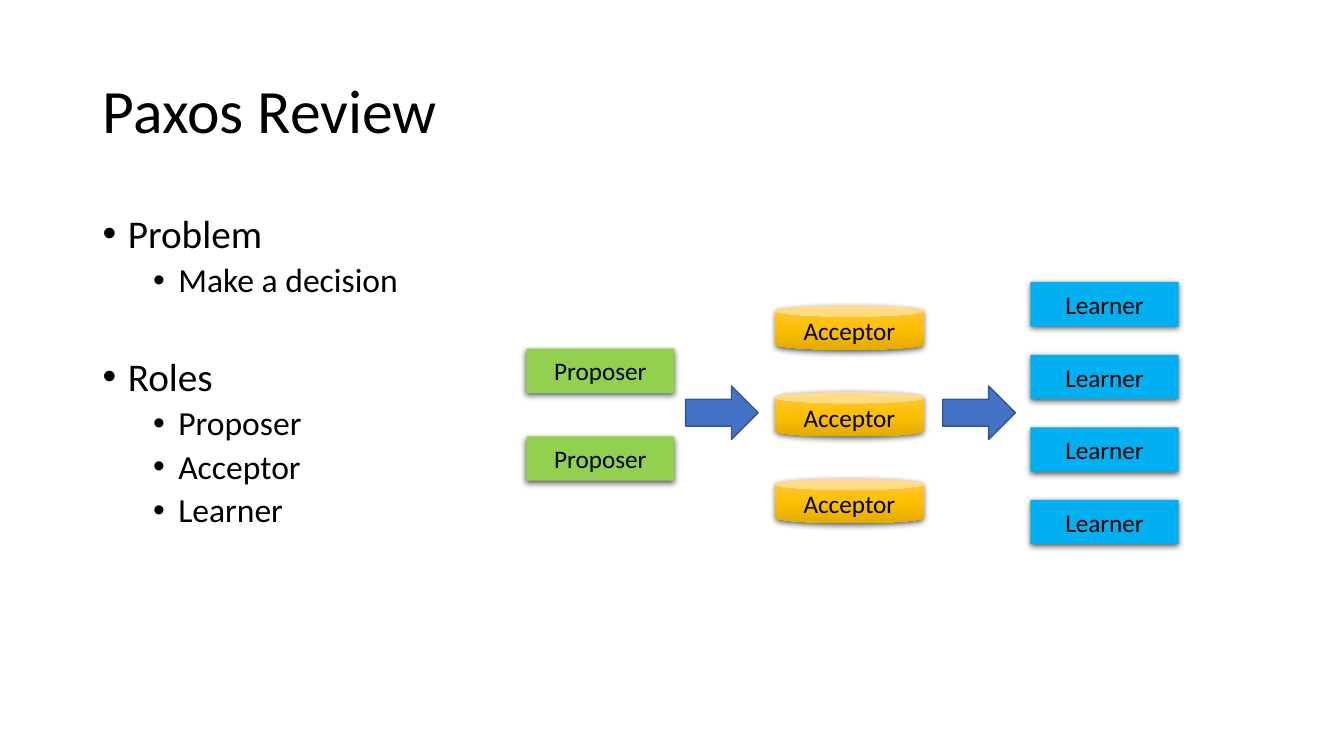
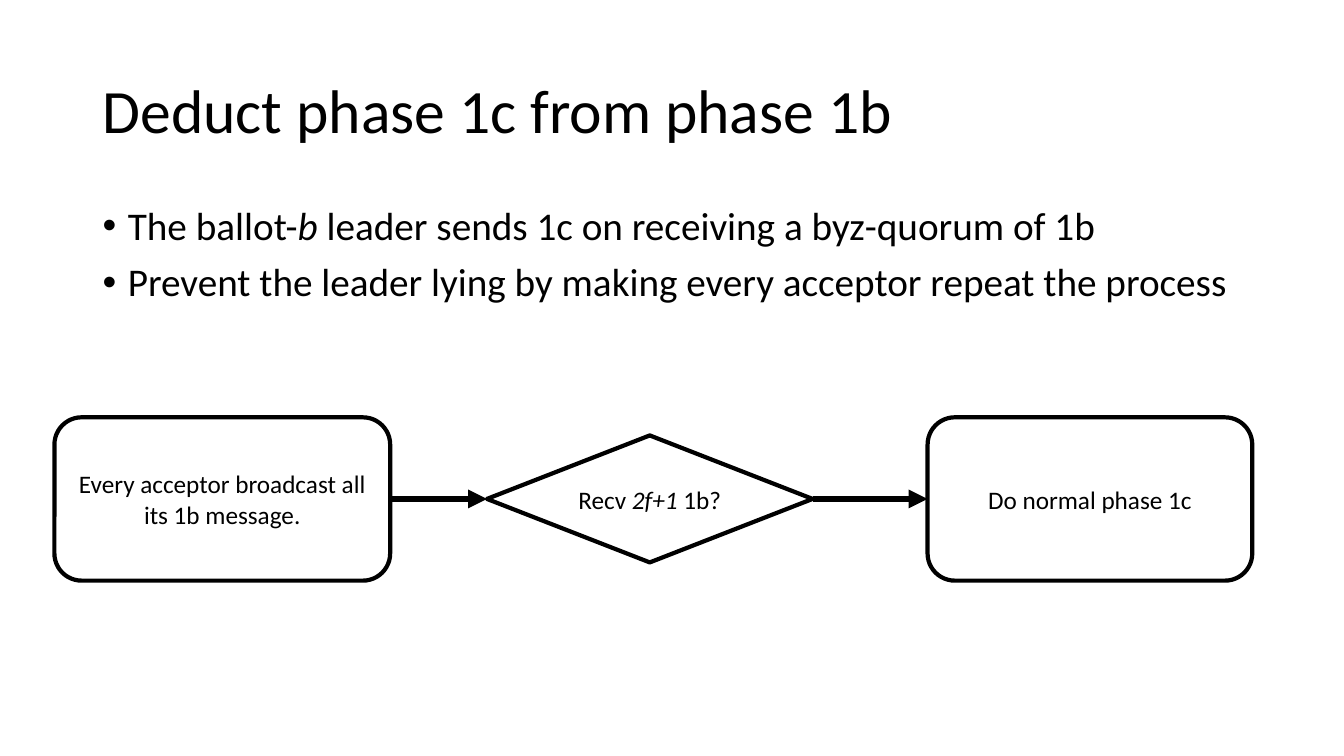
from lxml.etree import SubElement
from pptx import Presentation
from pptx.dml.color import RGBColor
from pptx.enum.shapes import MSO_CONNECTOR, MSO_SHAPE as Preset
from pptx.enum.text import MSO_ANCHOR as Anchor, PP_ALIGN as Align
from pptx.oxml.ns import qn
from pptx.util import Inches, Pt

FONT = "Calibri"
BLACK = RGBColor(0x00, 0x00, 0x00)
GREEN = RGBColor(0x92, 0xD0, 0x50)
SKY = RGBColor(0x00, 0xB0, 0xF0)
BLUE = RGBColor(0x44, 0x72, 0xC4)
BLUE_EDGE = RGBColor(0x32, 0x54, 0x91)
GOLD_STOPS = (
    (0, RGBColor(0xFF, 0xC6, 0x4B)),
    (50, RGBColor(0xFF, 0xC0, 0x00)),
    (100, RGBColor(0xE3, 0xAB, 0x00)),
)

MARGIN = 0.92
CONTENT_WIDTH = 11.5
BULLET_SIZES = (28, 24)
BULLET_INDENTS = (0.25, 0.75)
BULLET_GAPS = (10, 5)
ROLE_WIDTH, ROLE_HEIGHT = 1.47, 0.44


def add_runs(paragraph, runs, size):
    """Add runs given as (text, italic) pairs."""
    for text, italic in runs:
        run = paragraph.add_run()
        run.text = text
        run.font.name = FONT
        run.font.size = Pt(size)
        run.font.color.rgb = BLACK
        if italic:
            run.font.italic = True


def add_text_box(slide, left, top, width, height, anchor):
    box = slide.shapes.add_textbox(
        Inches(left), Inches(top), Inches(width), Inches(height))
    box.text_frame.word_wrap = True
    box.text_frame.vertical_anchor = anchor
    return box.text_frame


def add_titled_slide(presentation, title):
    slide = presentation.slides.add_slide(presentation.slide_layouts[6])
    frame = add_text_box(slide, MARGIN, 0.4, CONTENT_WIDTH, 1.45, Anchor.MIDDLE)
    paragraph = frame.paragraphs[0]
    paragraph.line_spacing = 0.9
    add_runs(paragraph, [(title, False)], 44)
    return slide


def add_bullets(slide, left, top, width, height, items):
    """Add bullets given as (level, extra space before, runs)."""
    frame = add_text_box(slide, left, top, width, height, Anchor.TOP)
    for index, (level, extra_gap, runs) in enumerate(items):
        paragraph = frame.add_paragraph() if index else frame.paragraphs[0]
        properties = paragraph._p.get_or_add_pPr()
        properties.set("marL", str(Inches(BULLET_INDENTS[level])))
        properties.set("indent", str(Inches(-0.25)))
        SubElement(properties, qn("a:buFont"), typeface="Arial")
        SubElement(properties, qn("a:buChar"), char="•")
        paragraph.level = level
        paragraph.line_spacing = 0.9
        if index:
            paragraph.space_before = Pt(BULLET_GAPS[level] + extra_gap)
        add_runs(paragraph, runs, BULLET_SIZES[level])


def add_preset(slide, preset, left, top, width, height, runs=()):
    """Add a preset shape without fill, line or shadow, with centred text."""
    shape = slide.shapes.add_shape(
        preset, Inches(left), Inches(top), Inches(width), Inches(height))
    shape.shadow.inherit = False
    shape.fill.background()
    shape.line.fill.background()
    if runs:
        frame = shape.text_frame
        frame.word_wrap = True
        frame.vertical_anchor = Anchor.MIDDLE
        frame.paragraphs[0].alignment = Align.CENTER
        add_runs(frame.paragraphs[0], runs, 18)
    return shape


def fill_solid(shape, color):
    shape.fill.solid()
    shape.fill.fore_color.rgb = color


def fill_gold(shape):
    shape.fill.gradient()
    shape.fill.gradient_angle = 270
    stops = shape._element.spPr.find(".//" + qn("a:gsLst"))
    for stop in list(stops):
        stops.remove(stop)
    for percent, color in GOLD_STOPS:
        stop = SubElement(stops, qn("a:gs"), pos=str(percent * 1000))
        SubElement(stop, qn("a:srgbClr"), val=str(color))


def add_soft_shadow(shape):
    effects = shape._element.spPr.find(qn("a:effectLst"))
    shadow = SubElement(
        effects, qn("a:outerShdw"), blurRad=str(Pt(4.5)), dist=str(Pt(1.5)),
        dir="5400000", algn="ctr", rotWithShape="0")
    color = SubElement(shadow, qn("a:srgbClr"), val=str(BLACK))
    SubElement(color, qn("a:alpha"), val="63000")


def add_role_column(slide, left, top, pitch, count, name, preset, color=None):
    """Stack equal role shapes; without a colour they are gold."""
    for row in range(count):
        shape = add_preset(slide, preset, left, top + row * pitch,
                           ROLE_WIDTH, ROLE_HEIGHT, [(name, False)])
        if color is None:
            fill_gold(shape)
        else:
            fill_solid(shape, color)
        add_soft_shadow(shape)


def add_roles_diagram(slide, left, top):
    add_role_column(slide, left, top + 0.66, 0.87, 2,
                    "Proposer", Preset.RECTANGLE, GREEN)
    add_role_column(slide, left + 2.47, top + 0.23, 0.86, 3,
                    "Acceptor", Preset.CAN)
    add_role_column(slide, left + 5, top, 0.72, 4,
                    "Learner", Preset.RECTANGLE, SKY)
    for offset in (1.58, 4.13):
        arrow = add_preset(slide, Preset.RIGHT_ARROW,
                           left + offset, top + 1.03, 0.72, 0.53)
        fill_solid(arrow, BLUE)
        arrow.line.color.rgb = BLUE_EDGE
        arrow.line.width = Pt(1)


def join_with_arrow(slide, source, target):
    """Draw an arrow from the right side of source to the left of target."""
    arrow = slide.shapes.add_connector(MSO_CONNECTOR.STRAIGHT, 0, 0, 0, 0)
    arrow.begin_connect(source, 3)
    arrow.end_connect(target, 1)
    arrow.line.color.rgb = BLACK
    arrow.line.width = Pt(4.5)
    SubElement(arrow.line._get_or_add_ln(), qn("a:tailEnd"), type="triangle")
    SubElement(arrow._element.spPr, qn("a:effectLst"))


def add_flow(slide, left, top, height):
    """Lay out the steps on one centre line and join them."""
    steps = (
        (Preset.ROUNDED_RECTANGLE, 0, 3.33, 1.62,
         [("Every acceptor broadcast all its 1b message.", False)]),
        (Preset.FLOWCHART_DECISION, 4.29, 3.23, 1.26,
         [("Recv ", False), ("2f+1", True), (" 1b?", False)]),
        (Preset.ROUNDED_RECTANGLE, 8.66, 3.22, 1.62,
         [("Do normal phase 1c", False)]),
    )
    shapes = []
    for preset, offset, width, step_height, runs in steps:
        shape = add_preset(slide, preset, left + offset,
                           top + (height - step_height) / 2,
                           width, step_height, runs)
        shape.line.color.rgb = BLACK
        shape.line.width = Pt(3)
        shape.text_frame.word_wrap = preset != Preset.FLOWCHART_DECISION
        shapes.append(shape)
    for source, target in zip(shapes, shapes[1:]):
        join_with_arrow(slide, source, target)


def add_review_slide(presentation):
    slide = add_titled_slide(presentation, "Paxos Review")
    add_bullets(slide, MARGIN, 2.08, 4.89, 4.76, (
        (0, 0, [("Problem", False)]),
        (1, 0, [("Make a decision", False)]),
        (0, 31, [("Roles", False)]),
        (1, 0, [("Proposer", False)]),
        (1, 0, [("Acceptor", False)]),
        (1, 0, [("Learner", False)]),
    ))
    add_roles_diagram(slide, 5.22, 2.8)


def add_phase_slide(presentation):
    slide = add_titled_slide(presentation, "Deduct phase 1c from phase 1b")
    add_bullets(slide, MARGIN, 2, CONTENT_WIDTH, 1.16, (
        (0, 0, [("The ballot-", False), ("b ", True),
                ("leader sends 1c on receiving a byz-quorum of 1b", False)]),
        (0, 0, [("Prevent the leader lying by making every acceptor "
                 "repeat the process", False)]),
    ))
    add_flow(slide, 0.54, 4.14, 1.62)


def main():
    presentation = Presentation()
    presentation.slide_width = Inches(13.33)
    presentation.slide_height = Inches(7.5)
    add_review_slide(presentation)
    add_phase_slide(presentation)
    presentation.save("out.pptx")


if __name__ == "__main__":
    main()
